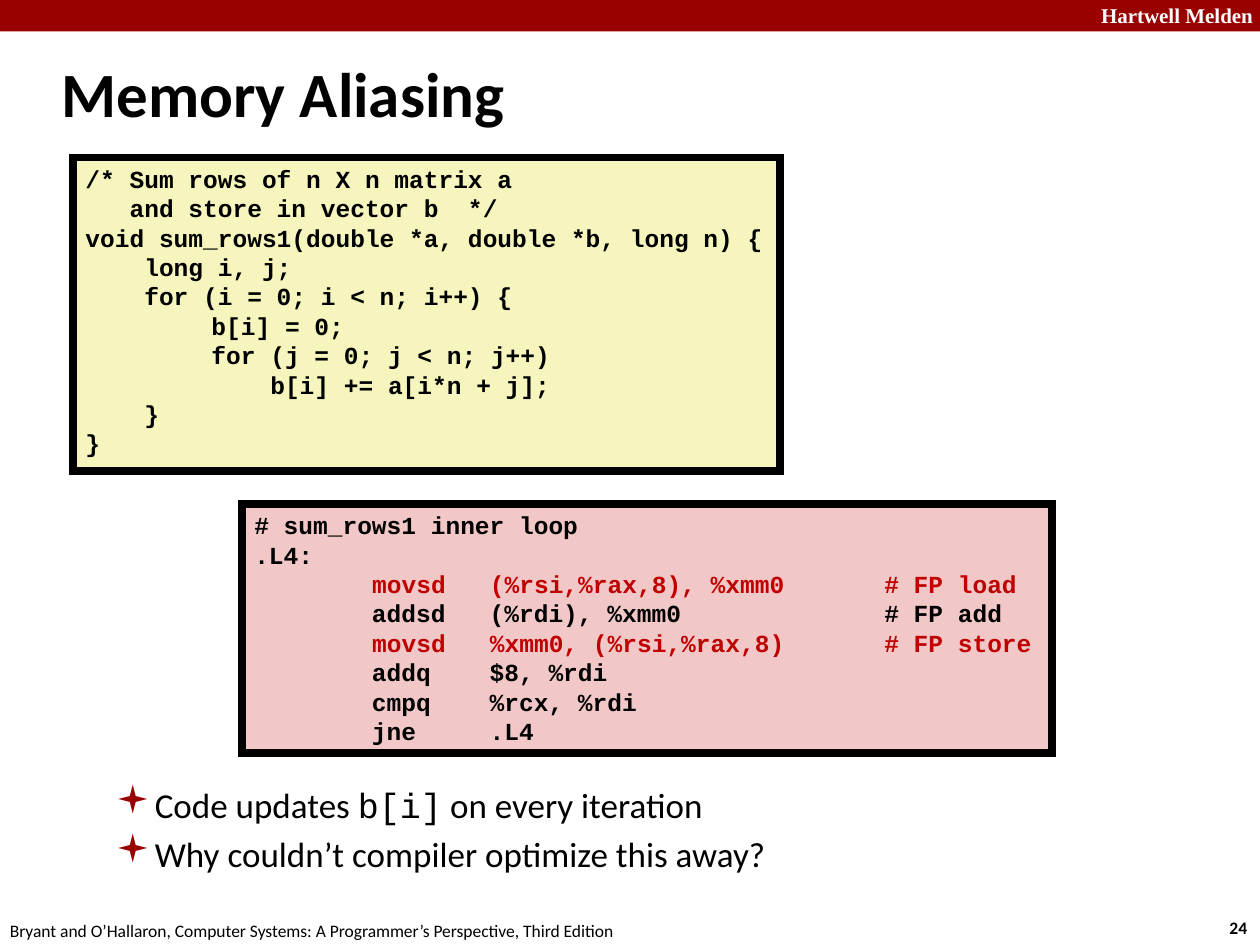
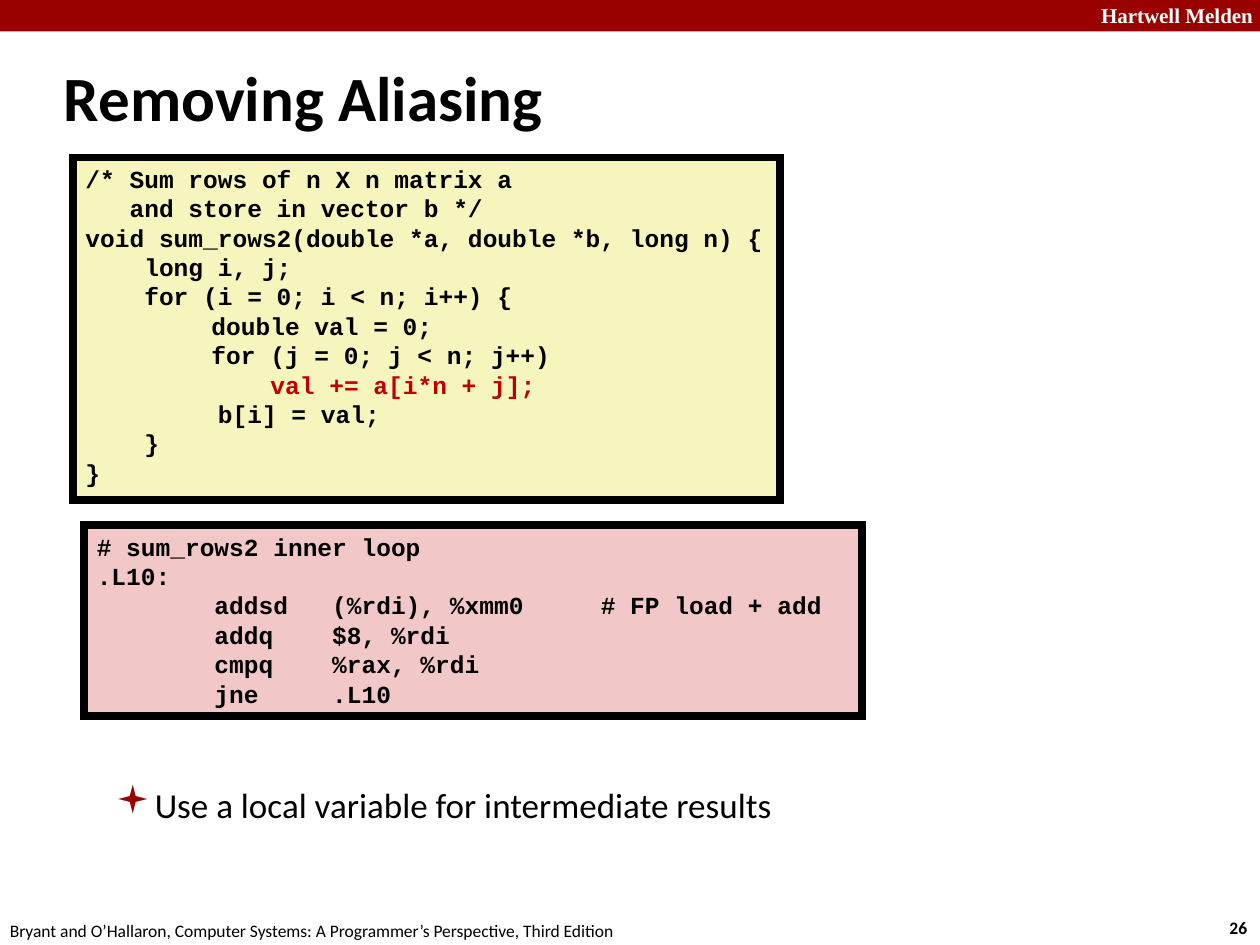
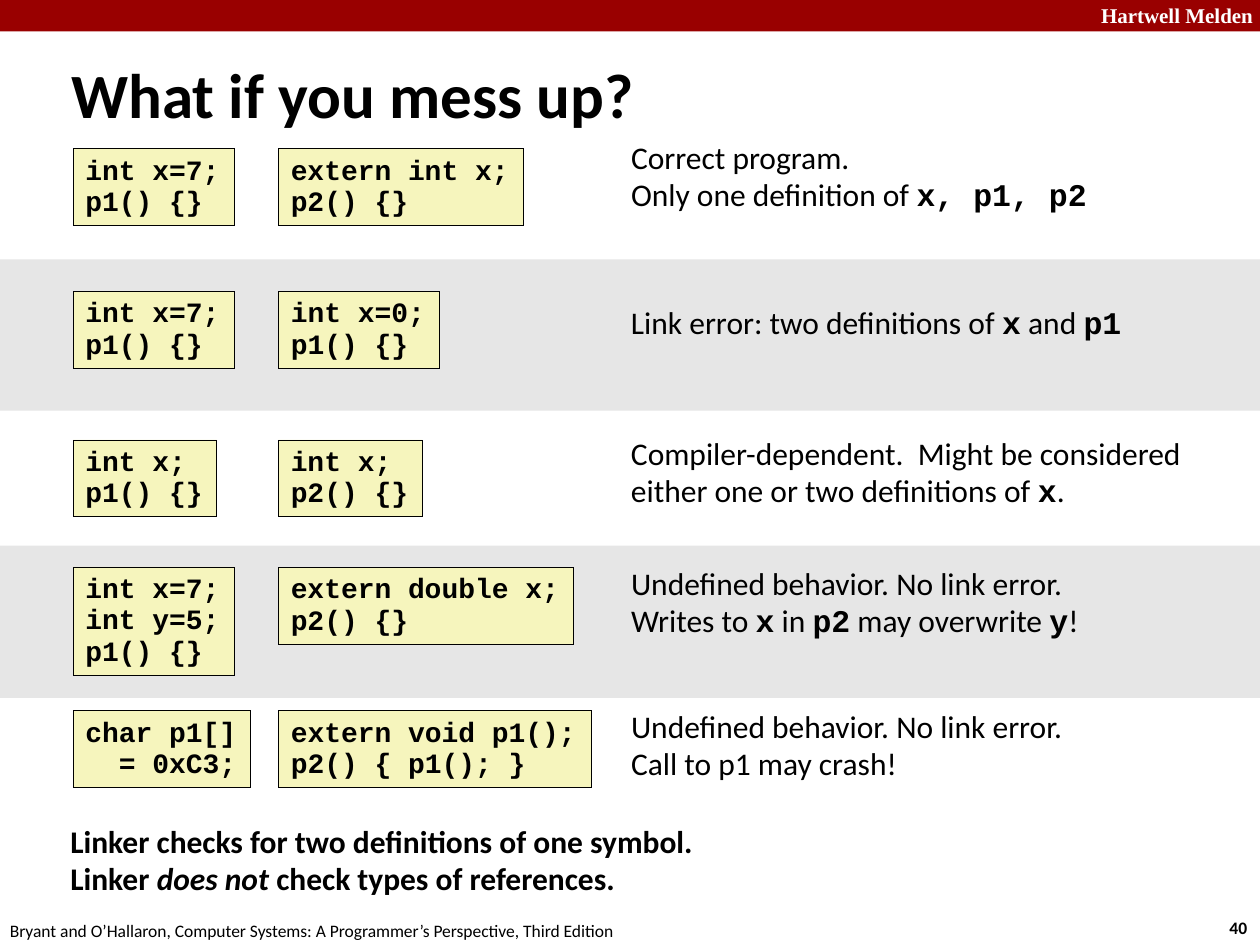
"""Build three lecture slides on memory aliasing and linker symbol errors."""

from dataclasses import dataclass, replace
from typing import NamedTuple, Sequence, Union

from lxml.etree import SubElement
from pptx import Presentation
from pptx.dml.color import RGBColor
from pptx.enum.shapes import MSO_SHAPE as Preset
from pptx.enum.text import MSO_ANCHOR as Anchor, MSO_AUTO_SIZE as AutoSize
from pptx.enum.text import PP_ALIGN as Align
from pptx.oxml.ns import qn
from pptx.util import Emu, Pt

EMU_PER_PX = 9144


def px(length: int) -> Emu:
    """Turn px, at 100 to the inch, into EMU."""
    return Emu(length * EMU_PER_PX)


@dataclass(frozen=True)
class TextStyle:
    """Look of a stretch of text."""

    size: int
    font: str = "Calibri"
    color: str = "000000"
    bold: bool = False
    italic: bool = False


@dataclass(frozen=True)
class Theme:
    """Colours and type sizes shared by the slides."""

    band: str = "990000"
    bullet: str = "990000"
    outline: str = "000000"
    source_fill: str = "F6F5BD"
    assembly_fill: str = "F1C7C7"
    stripe: str = "E6E6E6"
    title: TextStyle = TextStyle(36, bold=True)
    header: TextStyle = TextStyle(12, "Times New Roman", "FFFFFF", True)
    footer: TextStyle = TextStyle(10)
    page: TextStyle = TextStyle(10, bold=True)
    body: TextStyle = TextStyle(20)
    body_code: TextStyle = TextStyle(20, "Courier New")
    listing: TextStyle = TextStyle(14, "Courier New", bold=True)
    hot: TextStyle = TextStyle(14, "Courier New", "C00000", True)
    snippet: TextStyle = TextStyle(16, "Courier New", bold=True)
    verdict: TextStyle = TextStyle(18)
    symbol: TextStyle = TextStyle(18, "Courier New", bold=True)
    summary: TextStyle = TextStyle(18, bold=True)


THEME = Theme()
STRESSED = replace(THEME.summary, italic=True)


class Span(NamedTuple):
    """Part of a line with a style of its own."""

    text: str
    style: TextStyle


Line = Union[str, Sequence[Union[str, Span]]]


class Box(NamedTuple):
    """Place of a shape in px."""

    left: int
    top: int
    width: int
    height: int


class Listing(NamedTuple):
    """Framed block of code."""

    box: Box
    fill: str
    lines: Sequence[Line]
    wrap: bool = False


class LinkCase(NamedTuple):
    """Two modules and what the linker makes of them."""

    top: int
    first: Sequence[str]
    second: Sequence[str]
    verdict_box: Box
    verdict: Sequence[Line]


def hot(text: str) -> Span:
    """Mark code that deserves attention."""
    return Span(text, THEME.hot)


def symbol(text: str) -> Span:
    """Mark a symbol name inside a verdict."""
    return Span(text, THEME.symbol)


def format_run(run, style: TextStyle) -> None:
    """Apply a style to a run."""
    font = run.font
    font.size = Pt(style.size)
    font.name = style.font
    font.bold = style.bold
    font.italic = style.italic
    font.color.rgb = RGBColor.from_string(style.color)


def write_lines(text_frame, lines: Sequence[Line], style: TextStyle,
                wrap: bool = False, spacing: float = 1.0) -> None:
    """Write one paragraph a line and fit the shape to it."""
    text_frame.word_wrap = wrap
    text_frame.auto_size = AutoSize.SHAPE_TO_FIT_TEXT
    text_frame.vertical_anchor = Anchor.TOP
    text_frame.text = "\n".join(
        line if isinstance(line, str) else "" for line in lines)
    for paragraph, line in zip(text_frame.paragraphs, lines):
        paragraph.line_spacing = spacing
        paragraph.alignment = Align.LEFT
        if isinstance(line, str):
            for run in paragraph.runs:
                format_run(run, style)
            continue
        for part in line:
            span = Span(part, style) if isinstance(part, str) else part
            run = paragraph.add_run()
            run.text = span.text
            format_run(run, span.style)


def add_text(slide, box: Box, lines: Sequence[Line], style: TextStyle,
             wrap: bool = False, spacing: float = 1.0):
    """Add a text box and return its text frame."""
    text_frame = slide.shapes.add_textbox(*map(px, box)).text_frame
    write_lines(text_frame, lines, style, wrap, spacing)
    return text_frame


def add_rectangle(slide, box: Box, fill: str, line_width: float = 0):
    """Add a flat rectangle, with a square-cornered outline if wanted."""
    shape = slide.shapes.add_shape(Preset.RECTANGLE, *map(px, box))
    shape.shadow.inherit = False
    shape.fill.solid()
    shape.fill.fore_color.rgb = RGBColor.from_string(fill)
    if line_width:
        shape.line.width = Pt(line_width)
        shape.line.color.rgb = RGBColor.from_string(THEME.outline)
        outline = shape._element.spPr.find(qn("a:ln"))
        SubElement(outline, qn("a:miter"), lim="800000")
    else:
        shape.line.fill.background()
    return shape


def add_listing(slide, listing: Listing) -> None:
    """Add a heavily framed code listing with a tab stop every inch."""
    shape = add_rectangle(slide, listing.box, listing.fill, 4.5)
    write_lines(shape.text_frame, listing.lines, THEME.listing, listing.wrap)
    for paragraph in shape.text_frame.paragraphs:
        properties = paragraph._p.get_or_add_pPr()
        tabs = SubElement(properties, qn("a:tabLst"))
        for inch in range(1, 7):
            SubElement(tabs, qn("a:tab"), pos=str(px(100 * inch)), algn="l")


def add_snippet(slide, left: int, top: int, lines: Sequence[str]) -> None:
    """Add a small code box sized by its text."""
    width = 21 + round(max(map(len, lines)) * 40 / 3)
    box = Box(left, top, width, 11 + 25 * len(lines))
    shape = add_rectangle(slide, box, THEME.source_fill, 0.25)
    write_lines(shape.text_frame, lines, THEME.snippet, spacing=0.94)


def add_bullets(slide, lines: Sequence[Line]) -> None:
    """Add the bulleted remarks under the code."""
    text_frame = add_text(slide, Box(32, 617, 909, 88), lines, THEME.body, True)
    text_frame.auto_size = AutoSize.NONE
    for index, paragraph in enumerate(text_frame.paragraphs):
        paragraph.space_before = Pt(4 if index else 0)
        properties = paragraph._p.get_or_add_pPr()
        properties.set("marL", str(px(81)))
        properties.set("indent", str(px(-31)))
        color = SubElement(properties, qn("a:buClr"))
        SubElement(color, qn("a:srgbClr"), val=THEME.bullet)
        SubElement(properties, qn("a:buSzPct"), val="110000")
        SubElement(properties, qn("a:buFont"), typeface="Wingdings")
        SubElement(properties, qn("a:buChar"), char="▪")


def add_slide(presentation, title: str, title_box: Box, page: int):
    """Add a blank slide with band, title and footer."""
    slide = presentation.slides.add_slide(presentation.slide_layouts[6])
    add_rectangle(slide, Box(0, 0, 1000, 25), THEME.band)
    add_text(slide, Box(864, -3, 143, 30), ["Hartwell Melden"],
             THEME.header, True)
    add_text(slide, Box(966, 723, 37, 27), [str(page)], THEME.page)
    add_text(slide, Box(-2, 725, 508, 27),
             ["Bryant and O’Hallaron, Computer Systems: "
              "A Programmer’s Perspective, Third Edition"], THEME.footer)
    heading = add_text(slide, title_box, [title], THEME.title, True)
    heading.auto_size = AutoSize.NONE
    heading.vertical_anchor = Anchor.MIDDLE
    return slide


def add_code_slide(presentation, title: str, title_box: Box, page: int,
                   listings: Sequence[Listing],
                   remarks: Sequence[Line]) -> None:
    """Add a slide with code listings and remarks."""
    slide = add_slide(presentation, title, title_box, page)
    add_bullets(slide, remarks)
    for listing in listings:
        add_listing(slide, listing)


def add_link_slide(presentation, title: str, title_box: Box, page: int,
                   cases: Sequence[LinkCase],
                   summary: Sequence[Line]) -> None:
    """Add a slide that compares pairs of modules."""
    slide = add_slide(presentation, title, title_box, page)
    for top, height in ((206, 120), (433, 121)):
        add_rectangle(slide, Box(0, top, 1000, height), THEME.stripe)
    for case in cases:
        add_snippet(slide, 58, case.top, case.first)
        add_snippet(slide, 221, case.top, case.second)
        add_text(slide, case.verdict_box, case.verdict, THEME.verdict,
                 spacing=0.98)
    add_text(slide, Box(46, 649, 518, 70), summary, THEME.summary,
             spacing=0.98)


ALIASED = [
    Listing(Box(192, 400, 643, 198), THEME.assembly_fill, [
        "# sum_rows1 inner loop",
        ".L4:",
        ["        ", hot("movsd   (%rsi,%rax,8), %xmm0\t# FP load")],
        "        addsd   (%rdi), %xmm0\t\t# FP add",
        ["        ", hot("movsd   %xmm0, (%rsi,%rax,8)\t# FP store")],
        "        addq    $8, %rdi",
        "        cmpq    %rcx, %rdi",
        "        jne     .L4",
    ]),
    Listing(Box(58, 125, 561, 249), THEME.source_fill, [
        "/* Sum rows of n X n matrix a",
        "   and store in vector b  */",
        "void sum_rows1(double *a, double *b, long n) {",
        "    long i, j;",
        "    for (i = 0; i < n; i++) {",
        "\tb[i] = 0;",
        "\tfor (j = 0; j < n; j++)",
        "\t    b[i] += a[i*n + j];",
        "    }",
        "}",
    ]),
]

UNALIASED = [
    Listing(Box(67, 417, 617, 151), THEME.assembly_fill, [
        "# sum_rows2 inner loop",
        ".L10:",
        "        addsd   (%rdi), %xmm0\t# FP load + add",
        "        addq    $8, %rdi",
        "        cmpq    %rax, %rdi",
        "        jne     .L10",
    ], True),
    Listing(Box(58, 125, 561, 272), THEME.source_fill, [
        "/* Sum rows of n X n matrix a",
        "   and store in vector b */",
        "void sum_rows2(double *a, double *b, long n) {",
        "    long i, j;",
        "    for (i = 0; i < n; i++) {",
        "\tdouble val = 0;",
        "\tfor (j = 0; j < n; j++)",
        ["\t    ", hot("val += a[i*n + j];")],
        "         b[i] = val;",
        "    }",
        "}",
    ]),
]

LINK_CASES = [
    LinkCase(118, ["int x=7;", "p1() {}"], ["extern int x;", "p2() {}"],
             Box(491, 106, 385, 70),
             ["Correct program.",
              ["Only one definition of ", symbol("x, p1, p2")]]),
    LinkCase(231, ["int x=7;", "p1() {}"], ["int x=0;", "p1() {}"],
             Box(491, 237, 414, 40),
             [["Link error: two definitions of ", symbol("x"), " and ",
               symbol("p1")]]),
    LinkCase(349, ["int x;", "p1() {}"], ["int x;", "p2() {}"],
             Box(491, 341, 463, 70),
             ["Compiler-dependent.  Might be considered",
              ["either one or two definitions of ", symbol("x"), "."]]),
    LinkCase(450, ["int x=7;", "int y=5;", "p1() {}"],
             ["extern double x;", "p2() {}"],
             Box(491, 444, 379, 70),
             ["Undefined behavior. No link error.",
              ["Writes to ", symbol("x"), " in ", symbol("p2"),
               " may overwrite ", symbol("y"), "!"]]),
    LinkCase(564, ["char p1[]", "  = 0xC3;"],
             ["extern void p1();", "p2() { p1(); }"],
             Box(491, 558, 379, 70),
             ["Undefined behavior. No link error.",
              "Call to p1 may crash!"]),
]


def main() -> None:
    """Build and save the presentation."""
    presentation = Presentation()
    presentation.slide_width = px(1000)
    presentation.slide_height = px(750)
    add_code_slide(
        presentation, "Memory Aliasing", Box(39, 32, 830, 83), 24, ALIASED,
        [["Code updates ", Span("b[i]", THEME.body_code),
          " on every iteration"],
         "Why couldn’t compiler optimize this away?"])
    add_code_slide(
        presentation, "Removing Aliasing", Box(41, 35, 830, 83), 26,
        UNALIASED, ["Use a local variable for intermediate results"])
    add_link_slide(
        presentation, "What if you mess up?", Box(47, 31, 953, 86), 40,
        LINK_CASES,
        ["Linker checks for two definitions of one symbol.",
         ["Linker ", Span("does not ", STRESSED),
          "check types of references."]])
    presentation.save("out.pptx")


if __name__ == "__main__":
    main()
